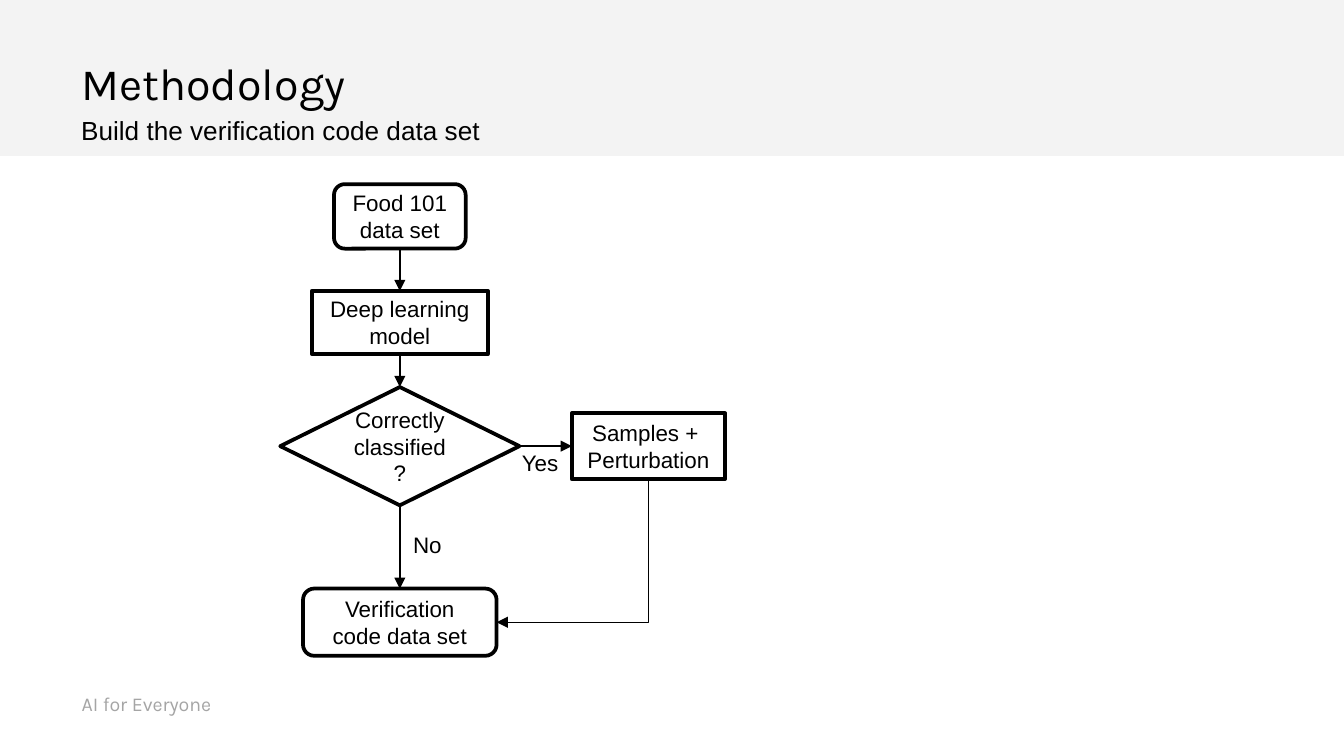
from lxml import etree
from pptx import Presentation
from pptx import util as u
from pptx.dml.color import RGBColor
from pptx.enum import shapes, text
from pptx.oxml import ns

COLUMNS, ROWS = 100, 56.25
UNIT = u.Inches(0.1)
BLACK, WHITE, BAND, GREY = "000000", "FFFFFF", "EEEEEE", "A5A5A5"
TOP, LEFT, BOTTOM, RIGHT = range(4)
KIND = shapes.MSO_SHAPE
LINK = shapes.MSO_CONNECTOR


def color(value):
    return RGBColor.from_string(value)


def grid(*cells):
    return [round(cell * UNIT) for cell in cells]


def inside(box, left, top, width, height):
    return grid(box[0] + left, box[1] + top, width, height)


def child(parent, tag, **attributes):
    return etree.SubElement(parent, ns.qn(tag), attributes)


def write(frame, words, size=12, font="Arial", ink=BLACK, align=None, **format_values):
    frame.text = words
    for name, value in {"word_wrap": True, **format_values}.items():
        setattr(frame, name, value)
    for paragraph in frame.paragraphs:
        paragraph.alignment = align
        for name, value in {"size": u.Pt(size), "name": font}.items():
            setattr(paragraph.font, name, value)
        paragraph.font.color.rgb = color(ink)


def label(slide, place, words, **format_values):
    write(slide.shapes.add_textbox(*place).text_frame, words, **format_values)


def add_step(slide, place, kind, words, fill=None):
    step = slide.shapes.add_shape(kind, *place)
    step.shadow.inherit = False
    if fill:
        step.fill.solid()
        step.fill.fore_color.rgb = color(fill)
    else:
        step.fill.background()
    step.line.color.rgb = color(BLACK)
    step.line.width = u.Pt(2)
    write(step.text_frame, words, align=text.PP_ALIGN.CENTER,
          vertical_anchor=text.MSO_ANCHOR.MIDDLE)
    return step


def add_arrow(slide, source, source_side, target, target_side, weight, kind=LINK.STRAIGHT):
    arrow = slide.shapes.add_connector(kind, 0, 0, 0, 0)
    arrow.begin_connect(source, source_side)
    arrow.end_connect(target, target_side)
    arrow.line.color.rgb = color(BLACK)
    arrow.line.width = u.Pt(weight)
    properties = arrow._element.spPr
    child(properties.find(ns.qn("a:ln")), "a:tailEnd", type="triangle")
    child(properties, "a:effectLst")
    return arrow


def turn_down_then_left(arrow):
    across, down = arrow.width, arrow.height
    middle, center = arrow.left + across // 2, arrow.top + down // 2
    turned = {"left": middle - down // 2, "top": center - across // 2,
              "width": down, "height": across}
    for name, value in turned.items():
        setattr(arrow, name, value)
    properties = arrow._element.spPr
    frame = properties.find(ns.qn("a:xfrm"))
    frame.attrib.pop("flipH", None)
    frame.set("rot", "5400000")
    properties.find(ns.qn("a:prstGeom")).set("prst", "bentConnector2")


def header(slide, box):
    band = slide.shapes.add_shape(KIND.RECTANGLE, *grid(*box))
    band.shadow.inherit = False
    band.fill.solid()
    band.fill.fore_color.rgb = color(BAND)
    band.line.fill.background()
    shade = band._element.spPr.find(".//" + ns.qn("a:srgbClr"))
    child(shade, "a:alpha", val="66000")
    label(slide, inside(box, 5.1, 3.15, 38.3, 6.4), "Methodology", size=24,
          font="Karla", margin_top=UNIT, margin_bottom=UNIT)
    label(slide, inside(box, 5.05, 8, 35.1, 3.4),
          "Build the verification code data set", size=14,
          auto_size=text.MSO_AUTO_SIZE.SHAPE_TO_FIT_TEXT)


def flowchart(slide, box):
    axis = 8.85

    def centered(top, width, height):
        return inside(box, axis - width / 2, top, width, height)

    food = add_step(slide, centered(0, 9.8, 4.8), KIND.ROUNDED_RECTANGLE,
                    "Food 101 data set", WHITE)
    model = add_step(slide, centered(7.95, 13.1, 4.7), KIND.RECTANGLE,
                     "Deep learning model")
    decision = add_step(slide, centered(15.1, 17.8, 8.8), KIND.DIAMOND,
                        "Correctly classified?")
    codes = add_step(slide, centered(30.1, 14.4, 5), KIND.ROUNDED_RECTANGLE,
                     "Verification code data set")
    samples = add_step(slide, inside(box, 21.65, 17.05, 11.4, 4.9), KIND.RECTANGLE,
                       "Samples + \nPerturbation")

    for upper, lower in ((food, model), (model, decision), (decision, codes)):
        add_arrow(slide, upper, BOTTOM, lower, TOP, 1)
    add_arrow(slide, decision, RIGHT, samples, LEFT, 0.75)
    turn_down_then_left(
        add_arrow(slide, samples, BOTTOM, codes, RIGHT, 0.75, LINK.ELBOW))

    for answer, left, top, width in (("No", axis, 25.3, 5.4), ("Yes", 16.95, 19.25, 5.7)):
        label(slide, inside(box, left, top, width, 3), answer,
              auto_size=text.MSO_AUTO_SIZE.SHAPE_TO_FIT_TEXT)


def footer(slide, box):
    label(slide, grid(*box), "AI for Everyone", size=10.5, font="Karla", ink=GREY,
          margin_top=UNIT, margin_bottom=UNIT,
          vertical_anchor=text.MSO_ANCHOR.MIDDLE)


def main():
    deck = Presentation()
    deck.slide_width, deck.slide_height = grid(COLUMNS, ROWS)
    slide = deck.slides.add_slide(deck.slide_layouts[6])
    header(slide, (0, 0, COLUMNS, 11.6))
    footer(slide, (5.1, 51.1, 30.7, 2.5))
    flowchart(slide, (20.9, 13.7, 33.1, 35.1))
    deck.save("out.pptx")


if __name__ == "__main__":
    main()
